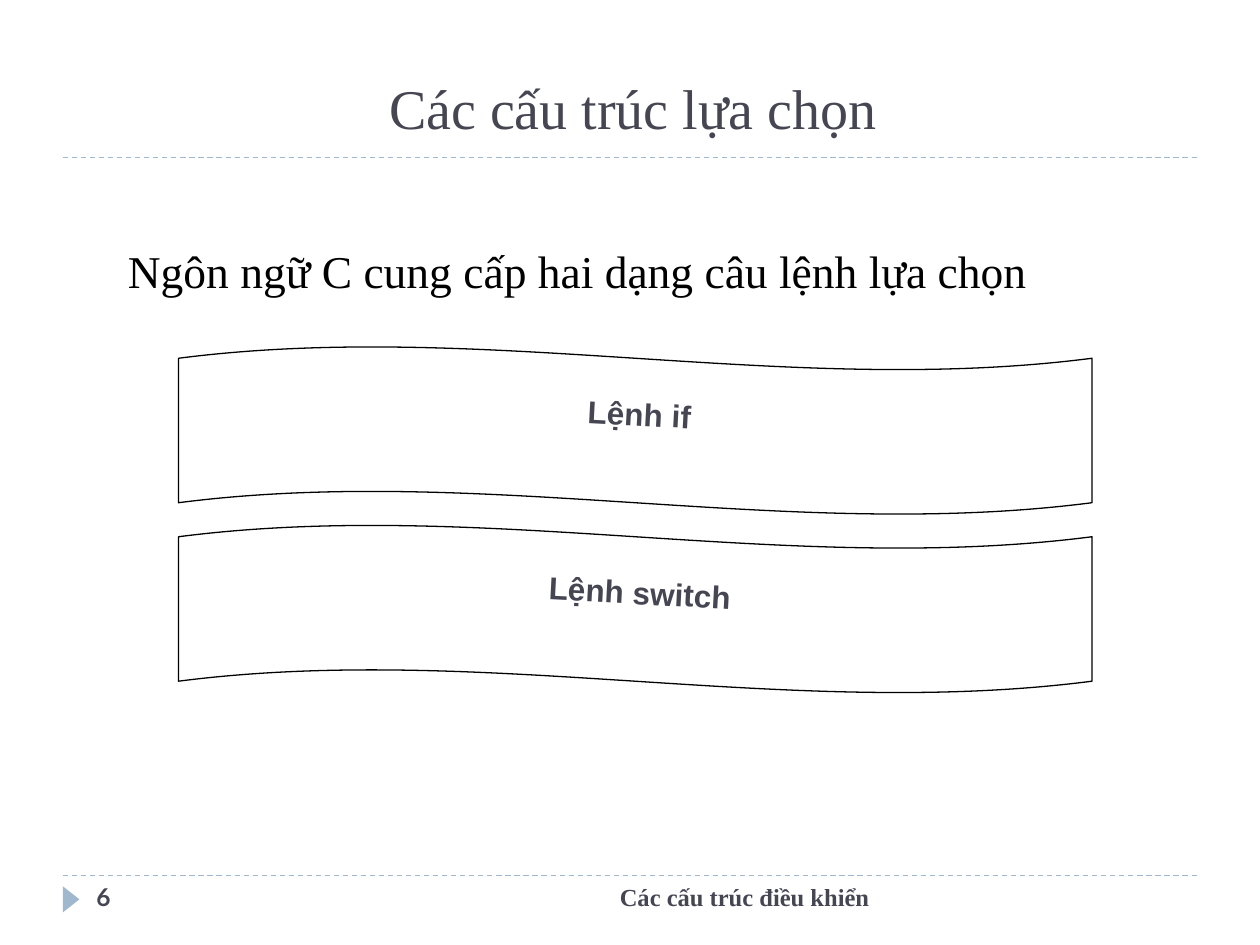
from pptx import Presentation
from pptx import util as u
from pptx.dml.color import RGBColor
from pptx.enum import dml, shapes, text
from pptx.oxml.ns import qn
from lxml import etree

Pt = u.Pt
COLOURS = {"ink": "464653", "black": "000000", "rule": "9FB8CD"}
SERIF = "Times New Roman"


def colour(name):
    return RGBColor.from_string(COLOURS[name])


def place(item, box):
    for name, value in zip(("left", "top", "width", "height"), box):
        setattr(item, name, Pt(value))


def write(item, words, size, font, ink="ink", bold=False, wrap=True,
          align=text.PP_ALIGN.LEFT, anchor=text.MSO_ANCHOR.TOP):
    frame = item.text_frame
    frame_format = {"word_wrap": wrap, "vertical_anchor": anchor,
                    "auto_size": text.MSO_AUTO_SIZE.NONE}
    for name, value in frame_format.items():
        setattr(frame, name, value)
    para = frame.paragraphs[0]
    para.alignment = align
    span = para.add_run()
    span.text = words
    for name, value in {"name": font, "size": Pt(size), "bold": bold}.items():
        setattr(span.font, name, value)
    span.font.color.rgb = colour(ink)
    return para


def add_text(page, box, words, size, font, **format_values):
    item = page.shapes.add_textbox(*map(Pt, box))
    return item, write(item, words, size, font, **format_values)


def add_rule(page, left, top, width):
    rule = page.shapes.add_connector(
        shapes.MSO_CONNECTOR.STRAIGHT, Pt(left), Pt(top), Pt(left + width), Pt(top))
    rule.line.color.rgb = colour("rule")
    rule.line.width = Pt(0.75)
    rule.line.dash_style = dml.MSO_LINE.DASH
    etree.SubElement(rule._element.spPr, qn("a:effectLst"))


def add_header(page, box):
    left, top, width, height = box
    add_rule(page, left, top + height, width)
    title = page.shapes.title
    place(title, (left + 46, top, 559.5, 66.25))
    write(title, "Các cấu trúc lựa chọn", 32, SERIF,
          align=text.PP_ALIGN.CENTER, anchor=text.MSO_ANCHOR.BOTTOM)


def add_intro(page, box):
    item, para = add_text(page, box, "Ngôn ngữ C cung cấp hai dạng câu lệnh lựa chọn",
                          26, SERIF, ink="black")
    para.line_spacing = 1.5
    settings = para._p.get_or_add_pPr()
    settings.set("marL", str(Pt(21.6)))
    settings.set("indent", str(-Pt(21.6)))


def add_banner(page, box, words, label_height):
    left, top, width, height = box
    wave = page.shapes.add_shape(shapes.MSO_SHAPE.WAVE, *map(Pt, box))
    wave.shadow.inherit = False
    wave.adjustments[0] = 0.07
    wave.fill.background()
    wave.line.color.rgb = colour("black")
    wave.line.width = Pt(0.75)
    label_box = (left + 98, top + 24, 330, label_height)
    label, para = add_text(page, label_box, words, 18, "Arial", bold=True,
                           wrap=False, align=text.PP_ALIGN.CENTER)
    label.rotation = 3


def add_footer(page, box):
    left, top, width, height = box
    add_rule(page, left, top, width)
    marker = page.shapes.add_shape(
        shapes.MSO_SHAPE.ISOSCELES_TRIANGLE, Pt(left - 2.9), Pt(top + 8.9), Pt(15), Pt(9.5))
    marker.shadow.inherit = False
    marker.rotation = 90
    marker.fill.solid()
    marker.fill.fore_color.rgb = colour("rule")
    marker.line.fill.background()
    add_text(page, (left + 12, top, 156, height), "6", 14, "Lato", bold=True)
    add_text(page, (left + 192, top, 276, height), "Các cấu trúc điều khiển",
             14, SERIF, bold=True, align=text.PP_ALIGN.RIGHT)


def main():
    deck = Presentation()
    deck.slide_width, deck.slide_height = Pt(720), Pt(540)
    page = deck.slides.add_slide(deck.slide_layouts[5])
    add_header(page, (36, 18, 648, 72))
    add_intro(page, (66, 120, 618, 66))
    for row, (words, label_height) in enumerate((("Lệnh if", 43), ("Lệnh switch", 54))):
        add_banner(page, (102, 198 + row * 102, 522, 96), words, label_height)
    add_footer(page, (36, 500.25, 648, 29))
    deck.save("out.pptx")


if __name__ == "__main__":
    main()
